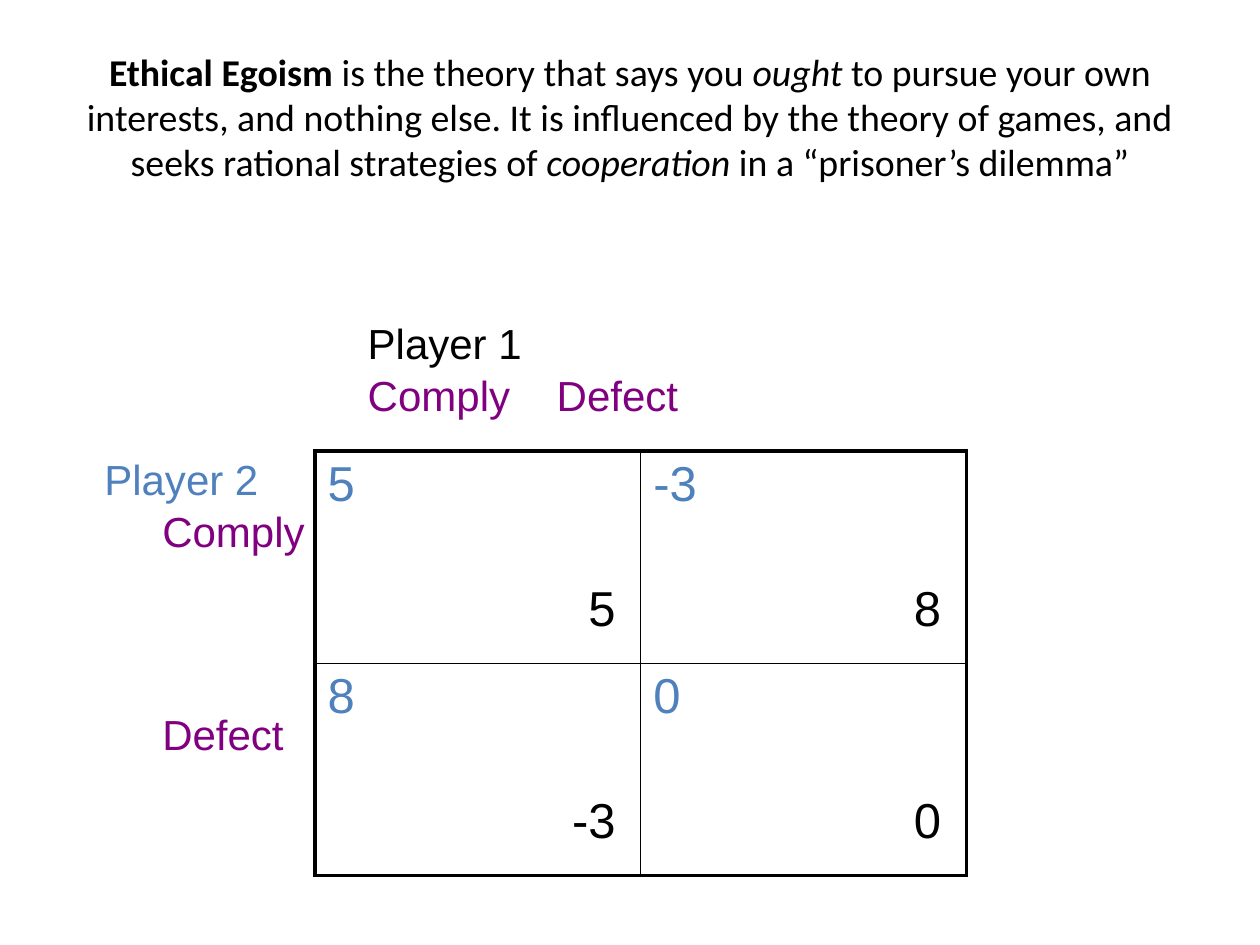
from dataclasses import dataclass
from lxml import etree
from pptx import Presentation, util as u
from pptx.dml.color import RGBColor
from pptx.enum import text
from pptx.oxml.ns import qn


@dataclass(frozen=True)
class Theme:
    ink: str = "000000"
    blue: str = "4F81BD"
    plum: str = "800080"
    head: str = "Calibri"
    body: str = "Arial"
    title: float = 21.6
    label: float = 24
    score: float = 28
    thick: float = 2.25
    thin: float = 1


class Deck:
    wide, high = 10, 7.5
    cols, rows = 100, 75

    def __init__(self, theme):
        self.theme = theme
        self.show = Presentation()
        self.show.slide_width = u.Inches(self.wide)
        self.show.slide_height = u.Inches(self.high)
        self.slide = self.show.slides.add_slide(self.show.slide_layouts[5])

    def x(self, col):
        return u.Inches(col * self.wide / self.cols)

    def y(self, row):
        return u.Inches(row * self.high / self.rows)

    def area(self, left, top, width, height):
        return self.x(left), self.y(top), self.x(width), self.y(height)

    def style(self, run, size, color, face):
        font = run.font
        font.size, font.name = u.Pt(size), face
        font.color.rgb = RGBColor.from_string(color)

    def fill(self, frame, lines, size, gaps):
        frame.text = "\n".join(line for line, _ in lines)
        for para, (_, color), gap in zip(frame.paragraphs, lines, gaps):
            para.space_before = u.Pt(gap)
            for run in para.runs:
                self.style(run, size, color, self.theme.body)

    def title(self, parts, *area):
        box = self.slide.shapes.title
        box.left, box.top, box.width, box.height = self.area(*area)
        frame = box.text_frame
        frame.word_wrap = True
        frame.auto_size = text.MSO_AUTO_SIZE.NONE
        frame.vertical_anchor = text.MSO_ANCHOR.MIDDLE
        para = frame.paragraphs[0]
        para.alignment = text.PP_ALIGN.CENTER
        for words, bold, slant in parts:
            run = para.add_run()
            run.text = words
            self.style(run, self.theme.title, self.theme.ink, self.theme.head)
            run.font.bold, run.font.italic = bold, slant

    def label(self, lines, gaps, *area, indent=0, tab=None):
        frame = self.slide.shapes.add_textbox(*self.area(*area)).text_frame
        frame.word_wrap = False
        self.fill(frame, lines, self.theme.label, gaps)
        for para in frame.paragraphs[1:]:
            props = para._p.get_or_add_pPr()
            props.set("marL", str(self.x(indent)))
            props.set("indent", "0")
            if tab:
                stops = etree.SubElement(props, qn("a:tabLst"))
                etree.SubElement(stops, qn("a:tab"), pos=str(self.x(tab)), algn="l")

    def edge(self, cell, outer):
        props = cell._tc.get_or_add_tcPr()
        for spot, side in enumerate("LRTB"):
            width = self.theme.thick if side in outer else self.theme.thin
            line = etree.Element(qn(f"a:ln{side}"), w=str(u.Pt(width)))
            solid = etree.SubElement(line, qn("a:solidFill"))
            etree.SubElement(solid, qn("a:srgbClr"), val=self.theme.ink)
            props.insert(spot, line)

    def matrix(self, scores, *area):
        count = len(scores)
        grid = self.slide.shapes.add_table(count, count, *self.area(*area)).table
        grid.first_row = grid.horz_banding = False
        for row, pairs in enumerate(scores):
            for col, (second, first) in enumerate(pairs):
                cell = grid.cell(row, col)
                cell.fill.background()
                cell.margin_right = self.x(2)
                lines = [(second, self.theme.blue), (first, self.theme.ink)]
                self.fill(cell.text_frame, lines, self.theme.score, (0, 40))
                cell.text_frame.paragraphs[1].alignment = text.PP_ALIGN.RIGHT
                self.edge(cell, "LR"[col] + "TB"[row])


def main():
    theme = Theme()
    deck = Deck(theme)
    deck.title([
        ("Ethical Egoism ", True, False),
        ("is the theory that says you ", False, False),
        ("ought", False, True),
        (" to pursue your own interests, and nothing else. It is influenced by "
         "the theory of games, and seeks rational strategies of ", False, False),
        ("cooperation", False, True),
        (" in a “prisoner’s dilemma”", False, False),
    ], 5, 3, 90, 12.5)
    deck.matrix([[("5", "5"), ("-3", "8")], [("8", "-3"), ("0", "0")]],
                25, 35.8, 51.7, 33.7)
    deck.label([("Player 1", theme.ink), ("Comply\tDefect", theme.plum)],
               (0, 1), 28.2, 24.7, 37.2, 9, tab=25.5)
    deck.label([("Player 2", theme.blue), ("Comply", theme.plum), ("Defect", theme.plum)],
               (0, 1, 87), 7.3, 35.5, 18, 25, indent=4.6)
    deck.show.save("out.pptx")


if __name__ == "__main__":
    main()
